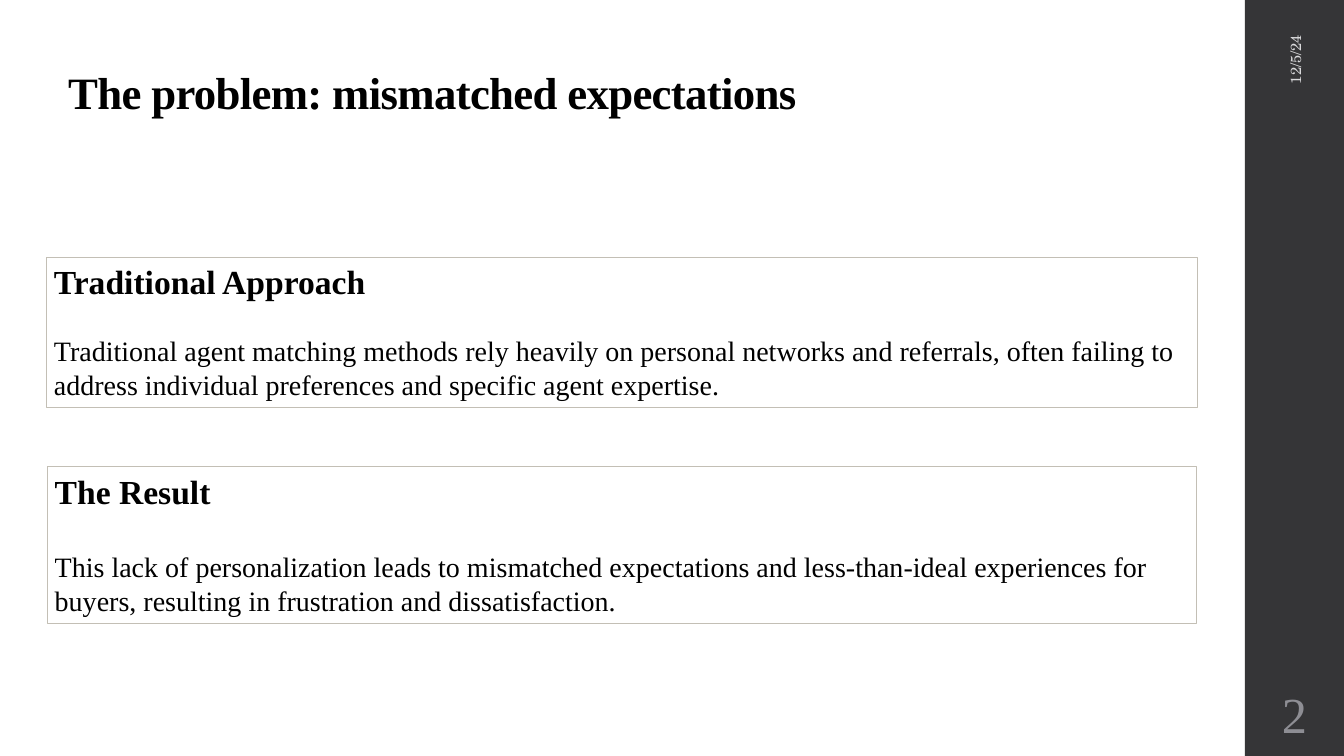
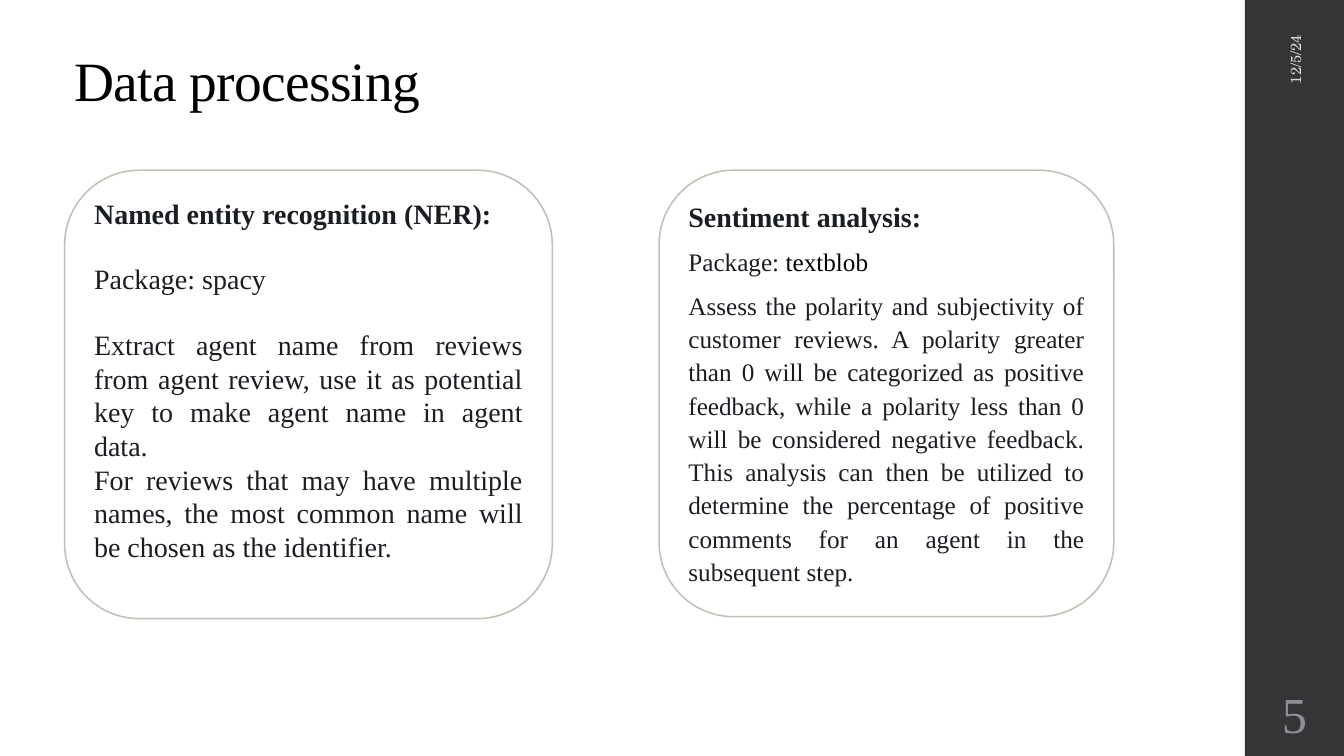
from lxml import etree
from pptx import Presentation
from pptx import util as u
from pptx.dml.color import RGBColor
from pptx.enum import shapes, text

LEFT, RIGHT, CENTER, JUSTIFY = (
    text.PP_ALIGN.LEFT, text.PP_ALIGN.RIGHT, text.PP_ALIGN.CENTER, text.PP_ALIGN.JUSTIFY)


def rgb(value):
    return RGBColor.from_string(value)


class Deck:
    SERIF, DATE_FONT = "Times New Roman", "TeX Gyre Schola"
    BLACK, INK, WHITE = "000000", "1A1E23", "FFFFFF"
    BAND, OUTLINE, DATE, NUMBER = "353537", "C3BFB5", "D9D9DB", "8E8E94"
    WIDTH, HEIGHT, BAND_LEFT, BAND_WIDTH = 33.87, 19.05, 31.37, 2.5

    def __init__(self):
        self.prs = Presentation()
        self.prs.slide_width = u.Cm(self.WIDTH)
        self.prs.slide_height = u.Cm(self.HEIGHT)
        self.s = None

    def slide(self, number):
        self.s = self.prs.slides.add_slide(self.prs.slide_layouts[6])
        self.shape(shapes.MSO_SHAPE.RECTANGLE,
                   (self.BAND_LEFT, 0, self.BAND_WIDTH, self.HEIGHT), fill=self.BAND)
        date = self.label("12/5/24", (30, 2.77, 5.28, 1.02), 10.5, self.DATE,
                          RIGHT, font=self.DATE_FONT)
        date.rotation = 270
        self.label(number, (self.BAND_LEFT, 17.15, self.BAND_WIDTH, 1.65), 36,
                   self.NUMBER, CENTER)

    def shape(self, kind, at, fill=None, line=None, weight=0.75):
        sp = self.s.shapes.add_shape(kind, *map(u.Cm, at))
        sp.shadow.inherit = False
        if fill:
            sp.fill.solid()
            sp.fill.fore_color.rgb = rgb(fill)
        else:
            sp.fill.background()
        if line:
            sp.line.color.rgb = rgb(line)
            sp.line.width = u.Pt(weight)
        else:
            sp.line.fill.background()
        return sp

    def paragraph(self, p, runs, size, color, bold=False, align=LEFT, font=SERIF,
                  before=0, spacing=1.0):
        p.alignment, p.line_spacing, p.space_before = align, spacing, u.Pt(before)
        p.font.size, p.font.name, p.font.bold = u.Pt(size), font, bold
        p.font.color.rgb = rgb(color)
        for words, run_color in [(runs, None)] if isinstance(runs, str) else runs:
            r = p.add_run()
            r.text = words
            if run_color:
                r.font.color.rgb = rgb(run_color)

    def label(self, words, at, size, color, align=LEFT,
              anchor=text.MSO_ANCHOR.MIDDLE, **style):
        sp = self.s.shapes.add_textbox(*map(u.Cm, at))
        tf = sp.text_frame
        tf.word_wrap, tf.vertical_anchor = True, anchor
        self.paragraph(tf.paragraphs[0], words, size, color, align=align, **style)
        return sp

    def title(self, words, at, size, bold=False):
        sp = self.label(words, at, size, self.BLACK, anchor=text.MSO_ANCHOR.BOTTOM,
                        bold=bold, spacing=0.9)
        for r in sp.text_frame.paragraphs[0].runs:
            r._r.get_or_add_rPr().set("spc", "-50")

    def card(self, at, paragraphs, color=BLACK, rounded=False):
        if rounded:
            sp = self.shape(shapes.MSO_SHAPE.ROUNDED_RECTANGLE, at, self.WHITE,
                            self.OUTLINE, 1.1)
        else:
            sp = self.shape(shapes.MSO_SHAPE.RECTANGLE, at, line=self.OUTLINE)
        tf = sp.text_frame
        tf.word_wrap, tf.vertical_anchor = True, text.MSO_ANCHOR.TOP
        tf.margin_left = tf.margin_right = u.Cm(0.19)
        tf.margin_top = tf.margin_bottom = u.Cm(0.1)
        for i, (runs, size, style) in enumerate(paragraphs):
            p = tf.add_paragraph() if i else tf.paragraphs[0]
            self.paragraph(p, runs, size, color, **style)


def main():
    deck = Deck()
    heading = {"bold": True}

    deck.slide("2")
    deck.title("The problem: mismatched expectations", (1.47, 1.73, 22.05, 1.4), 32, bold=True)
    deck.card((1.17, 6.48, 29.01, 3.78), [
        ("Traditional Approach", 24, heading),
        ("Traditional agent matching methods rely heavily on personal networks and "
         "referrals, often failing to address individual preferences and specific "
         "agent expertise.", 20, {"before": 23}),
    ])
    deck.card((1.19, 11.76, 28.96, 3.96), [
        ("The Result", 24, heading),
        ("This lack of personalization leads to mismatched expectations and "
         "less-than-ideal experiences for buyers, resulting in frustration and "
         "dissatisfaction.", 20, {"before": 27.5}),
    ])

    deck.slide("5")
    deck.title("Data processing", (1.63, 1.24, 22.25, 1.75), 39.6)
    deck.card((1.63, 4.29, 12.29, 11.3), [
        ("Named entity recognition (NER):", 20, heading),
        ("Package: spacy", 20, {"before": 23}),
        ("Extract agent name from reviews from agent review, use it as potential key "
         "to make agent name in agent data.", 20, {"before": 23, "align": JUSTIFY}),
        ("For reviews that may have multiple names, the most common name will be "
         "chosen as the identifier.", 20, {"align": JUSTIFY}),
    ], deck.INK, rounded=True)
    loose = {"before": 7.5, "spacing": 1.1}
    deck.card((16.61, 4.29, 11.46, 11.25), [
        ("Sentiment analysis:", 20, {**loose, **heading}),
        ([("Package: ", None), ("textblob", deck.BLACK)], 18, loose),
        ("Assess the polarity and subjectivity of customer reviews. A polarity greater "
         "than 0 will be categorized as positive feedback, while a polarity less than "
         "0 will be considered negative feedback. This analysis can then be utilized "
         "to determine the percentage of positive comments for an agent in the "
         "subsequent step.", 18, {**loose, "align": JUSTIFY}),
    ], deck.INK, rounded=True)

    deck.prs.save("out.pptx")


if __name__ == "__main__":
    main()
